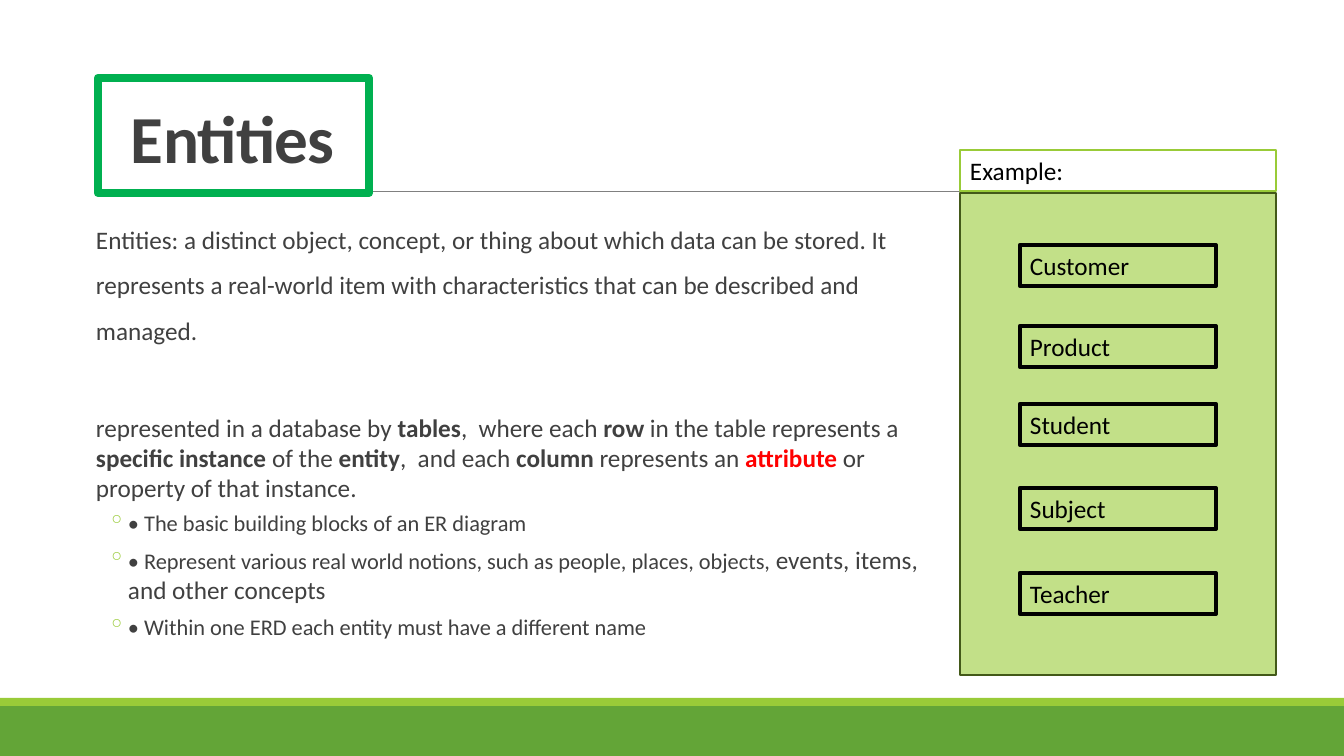
"""Builds the slide that explains entities in an ER diagram."""
from lxml.etree import SubElement
from pptx import Presentation
from pptx.dml.color import RGBColor
from pptx.enum.shapes import MSO_CONNECTOR, MSO_SHAPE
from pptx.enum.text import MSO_ANCHOR, PP_ALIGN
from pptx.oxml.ns import qn
from pptx.util import Emu, Pt

COLORS = {
    "ink": "404040", "black": "000000", "white": "FFFFFF", "red": "FF0000",
    "rule": "808080", "lime": "99CB38", "green": "63A537", "frame": "00B050",
    "panel": "C2E088", "panel_edge": "435919",
}
FONT = "Calibri"
BOLD = {"bold": True}
SMALL = {"size": 16}

TITLE = "Entities"
DEFINITION = ("Entities: a distinct object, concept, or thing about which data can be stored. "
              "It represents a real-world item with characteristics that can be described and managed.")
IN_DATABASE = [
    ("represented in a database by ", {}), ("tables", BOLD),
    (",  where each ", {}), ("row", BOLD),
    (" in the table represents a ", {}), ("specific instance ", BOLD),
    ("of the ", {}), ("entity", BOLD),
    (",  and each ", {}), ("column", BOLD),
    (" represents an ", {}), ("attribute", {"bold": True, "color": "red"}),
    (" or property of that instance.", {}),
]
POINTS = [
    [("• The basic building blocks of an ER diagram", SMALL)],
    [("• Represent various real world notions, such as people, places, objects, ", SMALL),
     ("events, items, and other concepts", {})],
    [("• Within one ERD each entity must have a different name", SMALL)],
]
EXAMPLE_LABEL = "Example:"
EXAMPLE_TOPS = {"Customer": 245, "Product": 326, "Student": 404, "Subject": 488, "Teacher": 573}

SLIDE_W, SLIDE_H = 1344, 756
EMU_PER_PX = 914400 / 100.8
BODY_INDENT = 10
POINT_INDENT, POINT_HANG = 42, 20


def px(length):
    return Emu(round(length * EMU_PER_PX))


def rgb(name):
    return RGBColor.from_string(COLORS[name])


def add_box(left, top, width, height, fill=None, line=None, weight=1.25):
    box = slide.shapes.add_shape(MSO_SHAPE.RECTANGLE, px(left), px(top), px(width), px(height))
    box.shadow.inherit = False
    if fill:
        box.fill.solid()
        box.fill.fore_color.rgb = rgb(fill)
    else:
        box.fill.background()
    if line:
        box.line.color.rgb = rgb(line)
        box.line.width = Pt(weight)
    else:
        box.line.fill.background()
    return box


def add_text_area(left, top, width, height):
    return slide.shapes.add_textbox(px(left), px(top), px(width), px(height))


def write(shape, paragraphs, size=18, color="ink", bold=False, tracking=None,
          anchor=MSO_ANCHOR.TOP, side_inset=10):
    frame = shape.text_frame
    frame.word_wrap = True
    frame.vertical_anchor = anchor
    frame.margin_left = frame.margin_right = px(side_inset)
    frame.margin_top = frame.margin_bottom = px(5)
    for index, (runs, layout) in enumerate(paragraphs):
        paragraph = frame.add_paragraph() if index else frame.paragraphs[0]
        paragraph.alignment = PP_ALIGN.LEFT
        paragraph.level = layout.get("level", 0)
        paragraph.line_spacing = layout.get("spacing", 1.0)
        paragraph.space_before = Pt(layout.get("before", 0))
        paragraph.space_after = Pt(layout.get("after", 0))
        properties = paragraph._p.get_or_add_pPr()
        properties.set("marL", str(px(layout.get("indent", 0))))
        properties.set("indent", str(-px(layout.get("hang", 0))))
        if "bullet" in layout:
            bullet_color = SubElement(properties, qn("a:buClr"))
            SubElement(bullet_color, qn("a:srgbClr")).set("val", COLORS["lime"])
            SubElement(properties, qn("a:buChar")).set("char", layout["bullet"])
        for text, changes in runs:
            run = paragraph.add_run()
            run.text = text
            run.font.name = FONT
            run.font.size = Pt(changes.get("size", size))
            run.font.bold = changes.get("bold", bold)
            run.font.color.rgb = rgb(changes.get("color", color))
            if tracking is not None:
                run._r.get_or_add_rPr().set("spc", str(tracking))


presentation = Presentation()
presentation.slide_width, presentation.slide_height = px(SLIDE_W), px(SLIDE_H)
slide = presentation.slides.add_slide(presentation.slide_layouts[6])

add_box(0, 706, SLIDE_W, 50, fill="green")
add_box(0, 698, SLIDE_W, 8, fill="lime")

title_rule = slide.shapes.add_connector(MSO_CONNECTOR.STRAIGHT, px(132), px(191), px(1231), px(191))
title_rule.line.color.rgb = rgb("rule")
title_rule.line.width = Pt(0.5)
SubElement(title_rule._element.spPr, qn("a:effectLst"))

add_box(960, 193, 316, 482, fill="panel", line="panel_edge")

write(add_text_area(121, 22, 1109, 160), [([(TITLE, {})], {"spacing": 0.85})],
      size=48, bold=True, tracking=-50, anchor=MSO_ANCHOR.BOTTOM)

point_layout = {"level": 1, "indent": POINT_INDENT, "hang": POINT_HANG,
                "before": 2, "after": 4, "bullet": "◦"}
body = [
    ([(DEFINITION, {})], {"indent": BODY_INDENT, "spacing": 1.5, "after": 2}),
    (IN_DATABASE, {"indent": BODY_INDENT, "before": 46, "after": 2}),
] + [(point, point_layout) for point in POINTS]
write(add_text_area(86, 204, 860, 483), body, side_inset=0)

add_box(98, 78, 271, 115, line="frame", weight=6)

for entity, top in EXAMPLE_TOPS.items():
    write(add_box(1020, top, 196, 41, line="black", weight=3), [([(entity, {})], {})], color="black")

write(add_box(960, 150, 316, 41, fill="white", line="lime"), [([(EXAMPLE_LABEL, {})], {})], color="black")

presentation.save("out.pptx")
